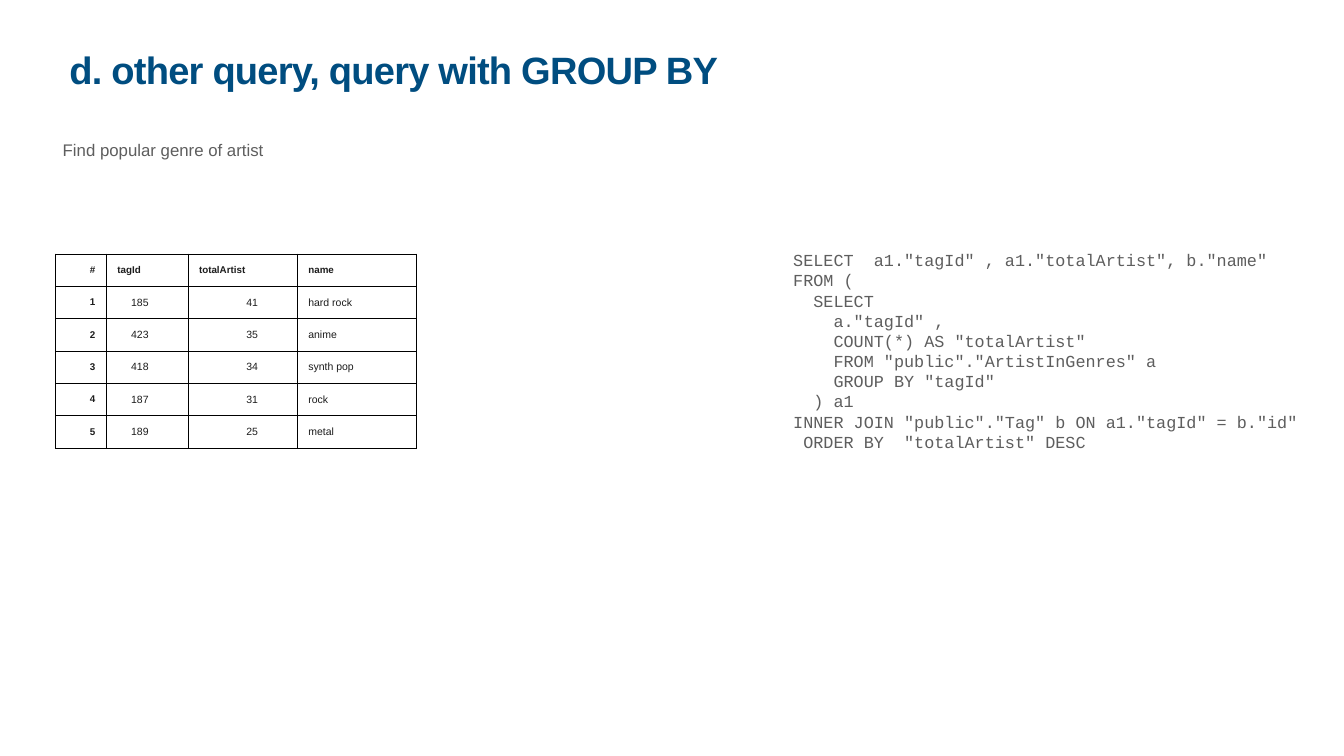
from lxml import etree
from pptx import Presentation
from pptx.dml.color import RGBColor
from pptx.enum.text import MSO_ANCHOR, PP_ALIGN
from pptx.oxml.ns import qn
from pptx.util import Cm, Pt

LEFT, CENTER, RIGHT = PP_ALIGN.LEFT, PP_ALIGN.CENTER, PP_ALIGN.RIGHT
TOP, MIDDLE = MSO_ANCHOR.TOP, MSO_ANCHOR.MIDDLE

BLUE = RGBColor(0x00, 0x4D, 0x80)
GRAY = RGBColor(0x5E, 0x5E, 0x5E)
INK = RGBColor(0x1C, 0x1C, 0x1C)
BORDER = "000000"

QUERY = """SELECT  a1."tagId" , a1."totalArtist", b."name"
FROM (
  SELECT
    a."tagId" ,
    COUNT(*) AS "totalArtist"
    FROM "public"."ArtistInGenres" a
    GROUP BY "tagId"
  ) a1
INNER JOIN "public"."Tag" b ON a1."tagId" = b."id"
 ORDER BY  "totalArtist" DESC"""

GENRES = [
    ("#", "tagId", "totalArtist", "name"),
    ("1", "185", "41", "hard rock"),
    ("2", "423", "35", "anime"),
    ("3", "418", "34", "synth pop"),
    ("4", "187", "31", "rock"),
    ("5", "189", "25", "metal"),
]
COL_WIDTHS = [2.57, 4.11, 5.51, 6.02]
ROW_HEIGHT = 1.63


def write_text(tf, text, size=24, font="Arial", color=GRAY, bold=False,
               align=LEFT, spacing=None, line=None):
    for i, words in enumerate(text.split("\n")):
        p = tf.paragraphs[0] if i == 0 else tf.add_paragraph()
        p.alignment = align
        if line:
            p.line_spacing = line
        r = p.add_run()
        r.text = words
        r.font.size = Pt(size)
        r.font.name = font
        r.font.bold = bold
        r.font.color.rgb = color
        if spacing:
            r.font._element.set("spc", str(round(spacing * 100)))


def add_text(s, x, y, w, h, text, wrap=False, anchor=MIDDLE, **fmt):
    tf = s.shapes.add_textbox(Cm(x), Cm(y), Cm(w), Cm(h)).text_frame
    tf.word_wrap = wrap
    tf.vertical_anchor = anchor
    tf.margin_left = tf.margin_right = Cm(0.15)
    tf.margin_top = tf.margin_bottom = Cm(0.15)
    write_text(tf, text, **fmt)


def set_borders(cell):
    tc_pr = cell._tc.get_or_add_tcPr()
    for i, side in enumerate(("lnL", "lnR", "lnT", "lnB")):
        ln = etree.Element(qn(f"a:{side}"), w=str(Pt(1)))
        fill = etree.SubElement(ln, qn("a:solidFill"))
        etree.SubElement(fill, qn("a:srgbClr"), val=BORDER)
        tc_pr.insert(i, ln)


def add_table(s, x, y, rows, widths, row_height):
    table = s.shapes.add_table(
        len(rows), len(widths), Cm(x), Cm(y),
        Cm(sum(widths)), Cm(row_height * len(rows))).table
    for column, width in zip(table.columns, widths):
        column.width = Cm(width)
    for i, row in enumerate(rows):
        table.rows[i].height = Cm(row_height)
        for j, text in enumerate(row):
            cell = table.cell(i, j)
            cell.fill.background()
            set_borders(cell)
            cell.vertical_anchor = MIDDLE
            cell.margin_left = Cm(0.56)
            cell.margin_right = Cm(0.56 if j == 0 else 1.98)
            cell.margin_top = cell.margin_bottom = Cm(0.36)
            heading = i == 0 or j == 0
            numeric = j == 0 or text.isdigit()
            write_text(cell.text_frame, text, size=14 if heading else 15,
                       color=INK, bold=heading,
                       align=RIGHT if numeric else LEFT)


def main():
    prs = Presentation()
    prs.slide_width, prs.slide_height = Cm(67.74), Cm(38.1)
    s = prs.slides.add_slide(prs.slide_layouts[6])
    add_text(s, 3.35, 2.64, 61.04, 2.59, "d. other query, query with GROUP BY",
             wrap=True, anchor=TOP, size=54.4, color=BLUE, bold=True,
             spacing=-1.1, line=0.8)
    add_text(s, 2.95, 6.9, 10.54, 1.27, "Find popular genre of artist",
             align=CENTER)
    add_text(s, 39.83, 12.78, 25.73, 9.8, QUERY, font="Courier New")
    add_table(s, 2.79, 12.8, GENRES, COL_WIDTHS, ROW_HEIGHT)
    prs.save("out.pptx")


if __name__ == "__main__":
    main()
